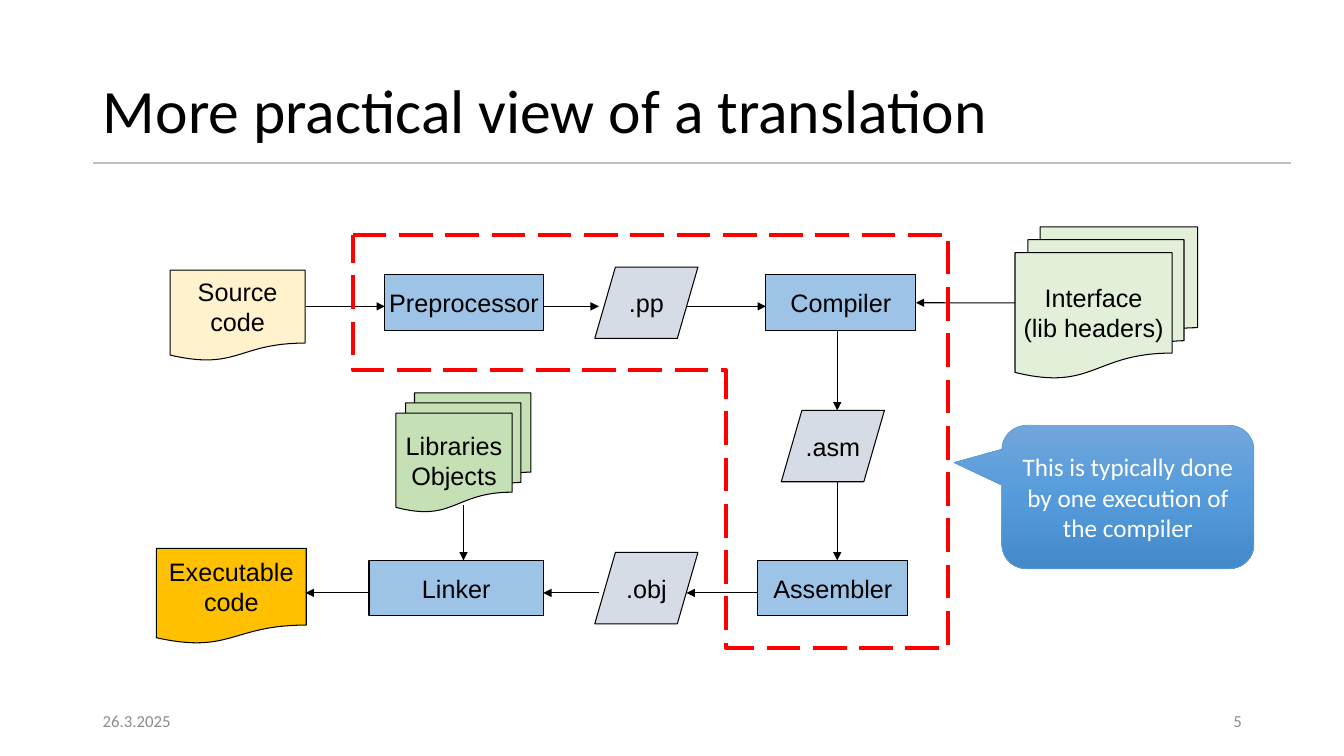
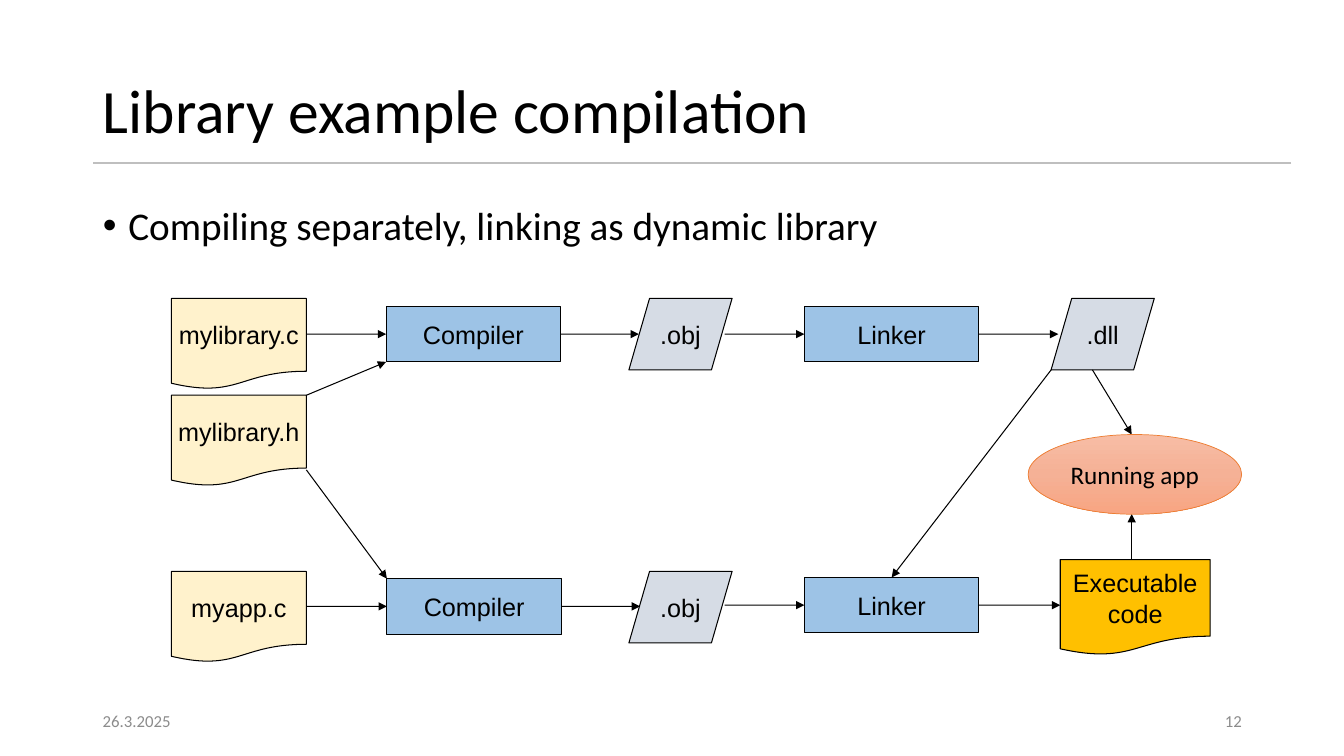
from copy import deepcopy

from lxml.etree import SubElement
from pptx import Presentation
from pptx.dml.color import RGBColor
from pptx.enum.dml import MSO_LINE
from pptx.enum.shapes import MSO_CONNECTOR, MSO_SHAPE
from pptx.enum.text import MSO_ANCHOR, PP_ALIGN
from pptx.oxml.ns import qn
from pptx.util import Cm, Pt

DATE = "26.3.2025"
BLACK, WHITE, GREY, RULE, RED = "000000", "FFFFFF", "8C8C8C", "BFBFBF", "FF0000"
LEFT, WIDTH = 2.34, 29.21
JOIN_GAP = 0.07  # largest distance in cm at which an arrow is joined to a side

# kind: preset shape, fill, width, height
KINDS = {
    "process": (MSO_SHAPE.RECTANGLE, "9DC3E6", 4.4, 1.4),
    "data": (MSO_SHAPE.FLOWCHART_DATA, "D6DCE5", 2.6, 1.8),
    "source": (MSO_SHAPE.FLOWCHART_DOCUMENT, "FFF2CC", 3.4, 2.29),
    "program": (MSO_SHAPE.FLOWCHART_DOCUMENT, "FFC000", 3.78, 2.41),
    "library": (MSO_SHAPE.FLOWCHART_MULTIDOCUMENT, "C5E0B4", 3.4, 3),
    "headers": (MSO_SHAPE.FLOWCHART_MULTIDOCUMENT, "E2F0D9", 4.6, 3.81),
}

# nodes: kind, text, left, top and, where it differs, width
# arrows: from x, y to x, y
SLIDES = [
    {
        "title": "More practical view of a translation",
        "number": 5,
        "nodes": [
            ("process", "Preprocessor", 9.7, 6.93, 3.99),
            ("process", "Compiler", 19.3, 6.93, 3.78),
            ("process", "Assembler", 19.1, 14.12, 3.78),
            ("process", "Linker", 9.3, 14.12),
            ("library", "Libraries\nObjects", 9.98, 9.9),
            ("source", "Source\ncode", 4.29, 6.81),
            ("data", ".pp", 14.99, 6.73),
            ("data", ".asm", 19.69, 10.34),
            ("data", ".obj", 14.99, 13.92),
            ("program", "Executable\ncode", 3.94, 13.82),
            ("headers", "Interface\n(lib headers)", 25.58, 5.72),
        ],
        "arrows": [
            (7.7, 7.72, 9.7, 7.72),
            (13.69, 7.72, 15.09, 7.72),
            (17.3, 7.72, 19.3, 7.72),
            (25.58, 7.63, 23.08, 7.63),
            (21.1, 8.33, 21.1, 10.34),
            (21.1, 12.14, 21.1, 14.12),
            (19.1, 14.94, 17.3, 14.94),
            (15.09, 14.94, 13.69, 14.94),
            (9.3, 14.94, 7.7, 14.94),
            (11.68, 12.73, 11.68, 14.12),
        ],
        "outline": [(8.89, 5.92), (23.9, 5.92), (23.9, 16.33),
                    (18.29, 16.33), (18.29, 9.32), (8.89, 9.32)],
        "accent": {
            "text": "This is typically done by one execution of the compiler",
            "shape": MSO_SHAPE.ROUNDED_RECTANGULAR_CALLOUT,
            "box": (25.25, 10.72, 6.35, 3.61),
            "adjustments": (-0.69, -0.24, 0.17),
            "gradient": ("71A6DB", "559BDB", "448ACA"),
            "line": "5B9BD5",
            "color": WHITE,
        },
    },
    {
        "title": "Library example compilation",
        "number": 12,
        "bullets": ["Compiling separately, linking as dynamic library"],
        "nodes": [
            ("source", "mylibrary.c", 4.32, 7.52),
            ("source", "mylibrary.h", 4.32, 9.96),
            ("source", "myapp.c", 4.32, 14.4),
            ("process", "Compiler", 9.73, 7.72),
            ("process", "Compiler", 9.75, 14.58),
            ("data", ".obj", 15.85, 7.52),
            ("data", ".obj", 15.85, 14.4),
            ("process", "Linker", 20.27, 7.72),
            ("process", "Linker", 20.27, 14.55),
            ("data", ".dll", 26.49, 7.52),
            ("program", "Executable\ncode", 26.72, 14.1),
        ],
        "arrows": [
            (7.72, 8.42, 9.73, 8.42),
            (14.13, 8.42, 16.1, 8.42),
            (18.26, 8.42, 20.27, 8.42),
            (24.67, 8.42, 26.67, 8.42),
            (7.72, 9.96, 9.73, 9.12),
            (7.72, 11.84, 9.75, 14.58),
            (7.72, 15.28, 9.75, 15.28),
            (14.15, 15.28, 16.13, 15.28),
            (18.26, 15.25, 20.27, 15.25),
            (24.67, 15.25, 26.72, 15.25),
            (26.49, 9.32, 22.47, 14.55),
            (27.53, 9.32, 28.52, 10.95),
            (28.52, 14.1, 28.52, 12.95),
        ],
        "accent": {
            "text": "Running app",
            "shape": MSO_SHAPE.OVAL,
            "box": (25.91, 10.95, 5.38, 2.01),
            "gradient": ("F7BDA5", "F5B196", "F8A582"),
            "line": "ED7D31",
            "color": BLACK,
        },
    },
]


def rgb(color):
    return RGBColor.from_string(color)


def cms(*values):
    return [Cm(value) for value in values]


def place(sp, *box):
    for name, value in zip(("left", "top", "width", "height"), box):
        setattr(sp, name, Cm(value))


def write(p, text, size, color=BLACK, font="Calibri", **formats):
    """Set the text of a paragraph, its run fonts and its paragraph formats."""
    p.text = text
    for name, value in formats.items():
        setattr(p, name, value)
    for r in p.runs:
        r.font.color.rgb = rgb(color)
        for name, value in {"size": Pt(size), "name": font}.items():
            setattr(r.font, name, value)


def set_line(sp, color, width):
    sp.line.color.rgb = rgb(color)
    sp.line.width = Pt(width)


def set_gradient(sp, colors):
    """Fill from top to bottom through three evenly spaced colours."""
    sp.fill.gradient()
    sp.fill.gradient_angle = 270
    stops = sp._element.spPr.find(".//" + qn("a:gsLst"))
    stops.append(deepcopy(stops[-1]))
    for stop, position, color in zip(sp.fill.gradient_stops, (0, 0.5, 1), colors):
        stop.position = position
        stop.color.rgb = rgb(color)


def add_line(s, ends, color, width, arrow=False):
    line = s.shapes.add_connector(MSO_CONNECTOR.STRAIGHT, *cms(*ends))
    set_line(line, color, width)
    spPr = line._element.spPr
    if arrow:
        SubElement(spPr.find(qn("a:ln")), qn("a:tailEnd"), type="triangle")
    SubElement(spPr, qn("a:effectLst"))
    return line


def add_label(s, text, left, width, align):
    sp = s.shapes.add_textbox(*cms(left, 17.65, width, 1.02))
    tf = sp.text_frame
    tf.word_wrap = True
    tf.vertical_anchor = MSO_ANCHOR.MIDDLE
    write(tf.paragraphs[0], text, 12, GREY, alignment=align)


def add_box(s, shape, box, text, line, width, font, color, wrap):
    sp = s.shapes.add_shape(shape, *cms(*box))
    sp.shadow.inherit = False
    set_line(sp, line, width)
    tf = sp.text_frame
    tf.word_wrap = wrap
    tf.vertical_anchor = MSO_ANCHOR.MIDDLE
    write(tf.paragraphs[0], text, 18, color, font, alignment=PP_ALIGN.CENTER)
    return sp


def add_node(s, kind, text, left, top, width=None):
    shape, fill, usual_width, height = KINDS[kind]
    box = (left, top, width or usual_width, height)
    sp = add_box(s, shape, box, text, BLACK, 0.75, "Arial", BLACK, False)
    sp.fill.solid()
    sp.fill.fore_color.rgb = rgb(fill)
    return sp


def add_accent(s, accent):
    sp = add_box(s, accent["shape"], accent["box"], accent["text"],
                 accent["line"], 0.5, "Calibri", accent["color"], True)
    for i, value in enumerate(accent.get("adjustments", ())):
        sp.adjustments[i] = value
    set_gradient(sp, accent["gradient"])


def add_outline(s, corners):
    start, *others = [tuple(cms(*corner)) for corner in corners]
    builder = s.shapes.build_freeform(*start)
    builder.add_line_segments(others, close=True)
    sp = builder.convert_to_shape()
    sp.shadow.inherit = False
    sp.fill.background()
    set_line(sp, RED, 3)
    sp.line.dash_style = MSO_LINE.LONG_DASH


def find_side(boxes, x, y):
    """Return the box and site whose side middle lies at the point, if any."""
    for sp in boxes:
        mid_x, mid_y = sp.left + sp.width // 2, sp.top + sp.height // 2
        sides = [(mid_x, sp.top), (sp.left, mid_y),
                 (mid_x, sp.top + sp.height), (sp.left + sp.width, mid_y)]
        for site, (side_x, side_y) in enumerate(sides):
            if max(abs(side_x - Cm(x)), abs(side_y - Cm(y))) <= Cm(JOIN_GAP):
                return sp, site
    return None


def add_arrow(s, boxes, ends):
    arrow = add_line(s, ends, BLACK, 0.75, arrow=True)
    for join, point in ((arrow.begin_connect, ends[:2]), (arrow.end_connect, ends[2:])):
        side = find_side(boxes, *point)
        if side:
            join(*side)


def add_bullets(s, bullets):
    body = s.placeholders[1]
    place(body, LEFT, 5.08, WIDTH, 12.09)
    tf = body.text_frame
    for i, text in enumerate(bullets):
        p = tf.add_paragraph() if i else tf.paragraphs[0]
        pPr = p._p.get_or_add_pPr()
        pPr.set("marL", str(Cm(0.64)))
        pPr.set("indent", str(Cm(-0.64)))
        SubElement(pPr, qn("a:buFont"), typeface="Arial")
        SubElement(pPr, qn("a:buChar"), char="•")
        write(p, text, 28, line_spacing=0.9, space_before=Pt(10 if i else 0))


def add_frame(s, title, number):
    """Add what every slide shares: title, rule, date and number."""
    add_line(s, (32.54, 4.11, LEFT, 4.11), RULE, 1)
    place(s.shapes.title, LEFT, 1.02, 27, 3.68)
    tf = s.shapes.title.text_frame
    tf.vertical_anchor = MSO_ANCHOR.MIDDLE
    write(tf.paragraphs[0], title, 44, alignment=PP_ALIGN.LEFT, line_spacing=0.9)
    add_label(s, DATE, LEFT, 7.62, PP_ALIGN.LEFT)
    add_label(s, str(number), LEFT + WIDTH - 7.62, 7.62, PP_ALIGN.RIGHT)


def main():
    prs = Presentation()
    prs.slide_width, prs.slide_height = cms(33.87, 19.05)
    for content in SLIDES:
        layout = prs.slide_layouts[1 if "bullets" in content else 5]
        s = prs.slides.add_slide(layout)
        add_frame(s, content["title"], content["number"])
        if "bullets" in content:
            add_bullets(s, content["bullets"])
        nodes = [(node[0], add_node(s, *node)) for node in content["nodes"]]
        boxes = [sp for kind, sp in nodes if kind == "process"]
        for ends in content["arrows"]:
            add_arrow(s, boxes, ends)
        if "outline" in content:
            add_outline(s, content["outline"])
        add_accent(s, content["accent"])
    prs.save("out.pptx")


if __name__ == "__main__":
    main()
